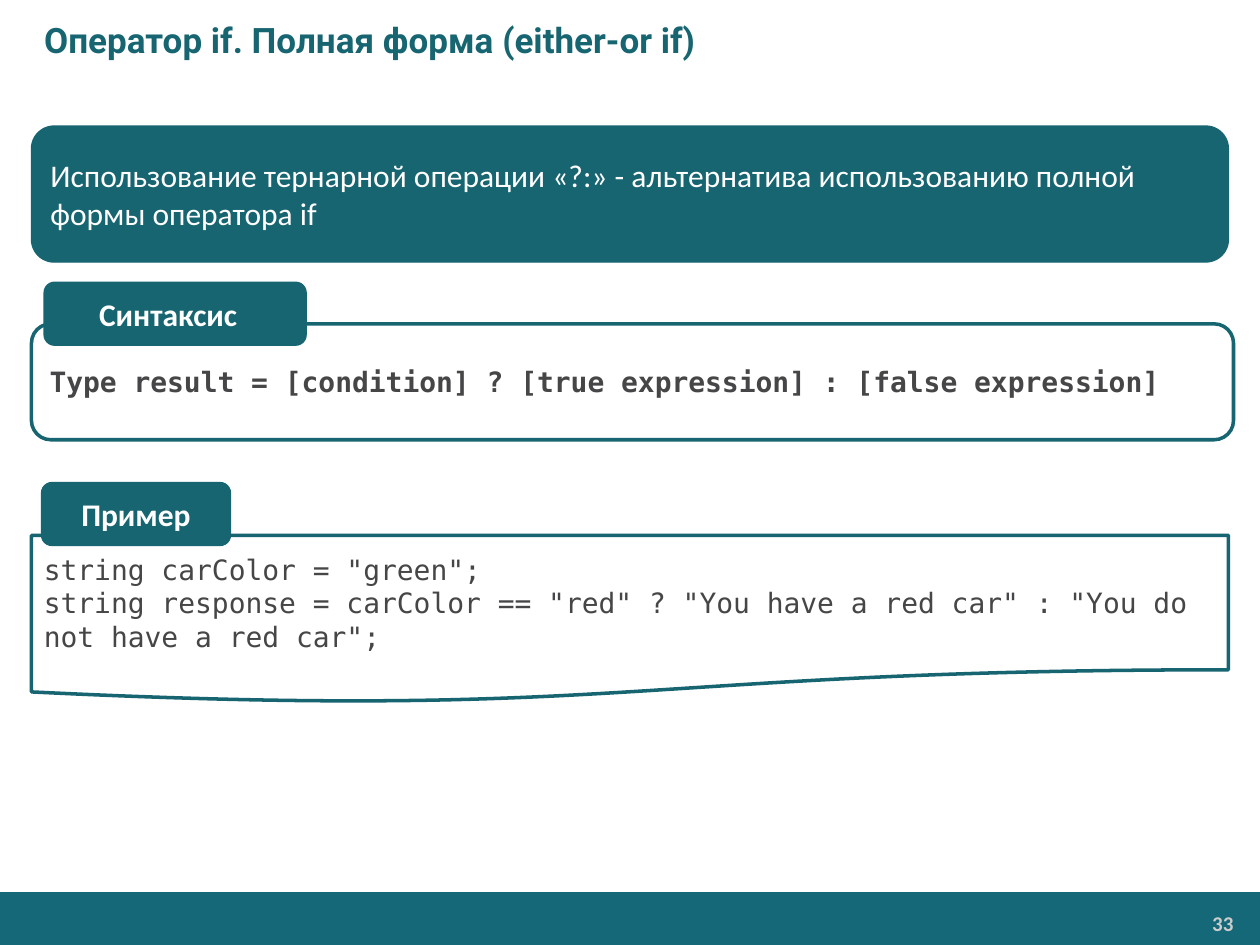
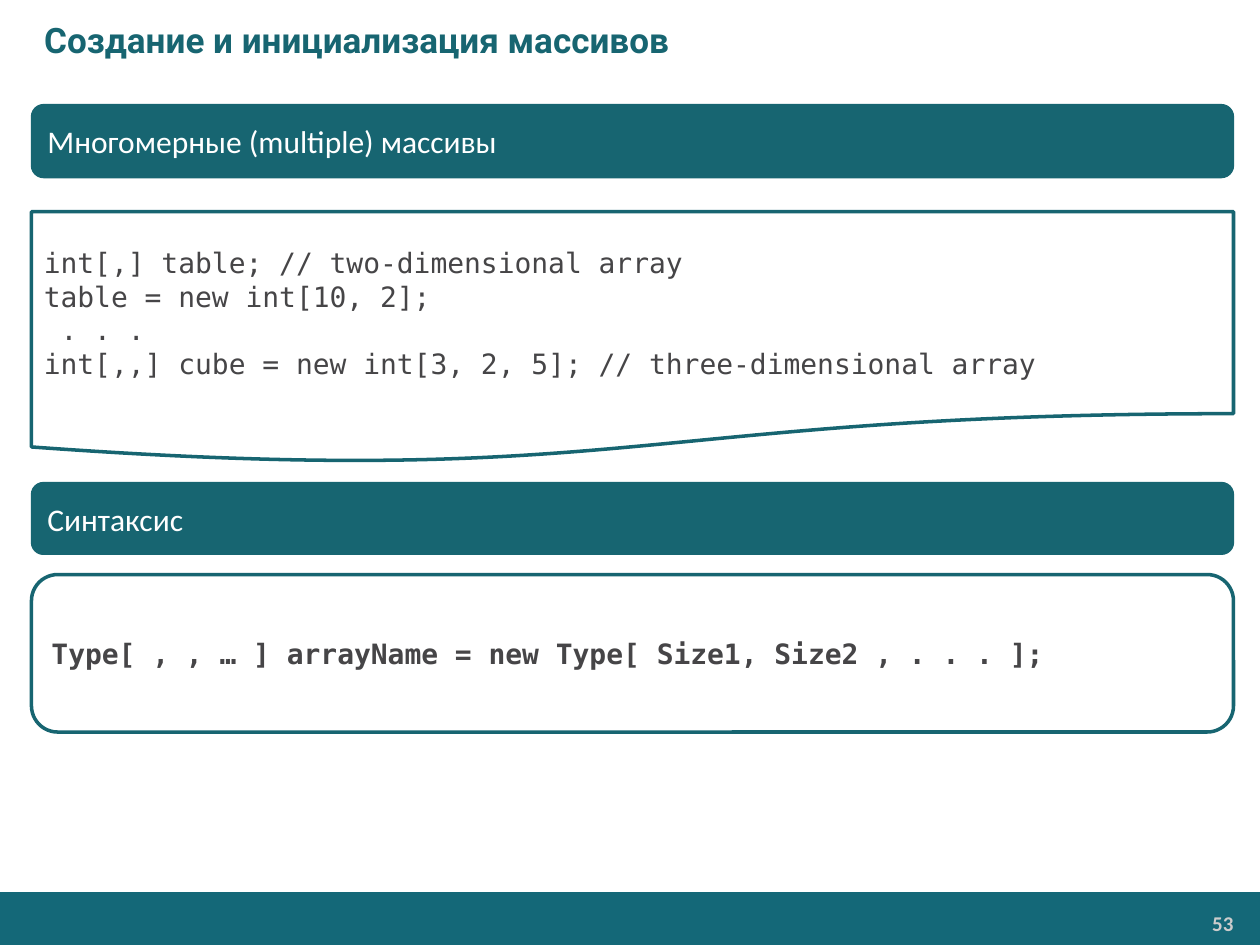
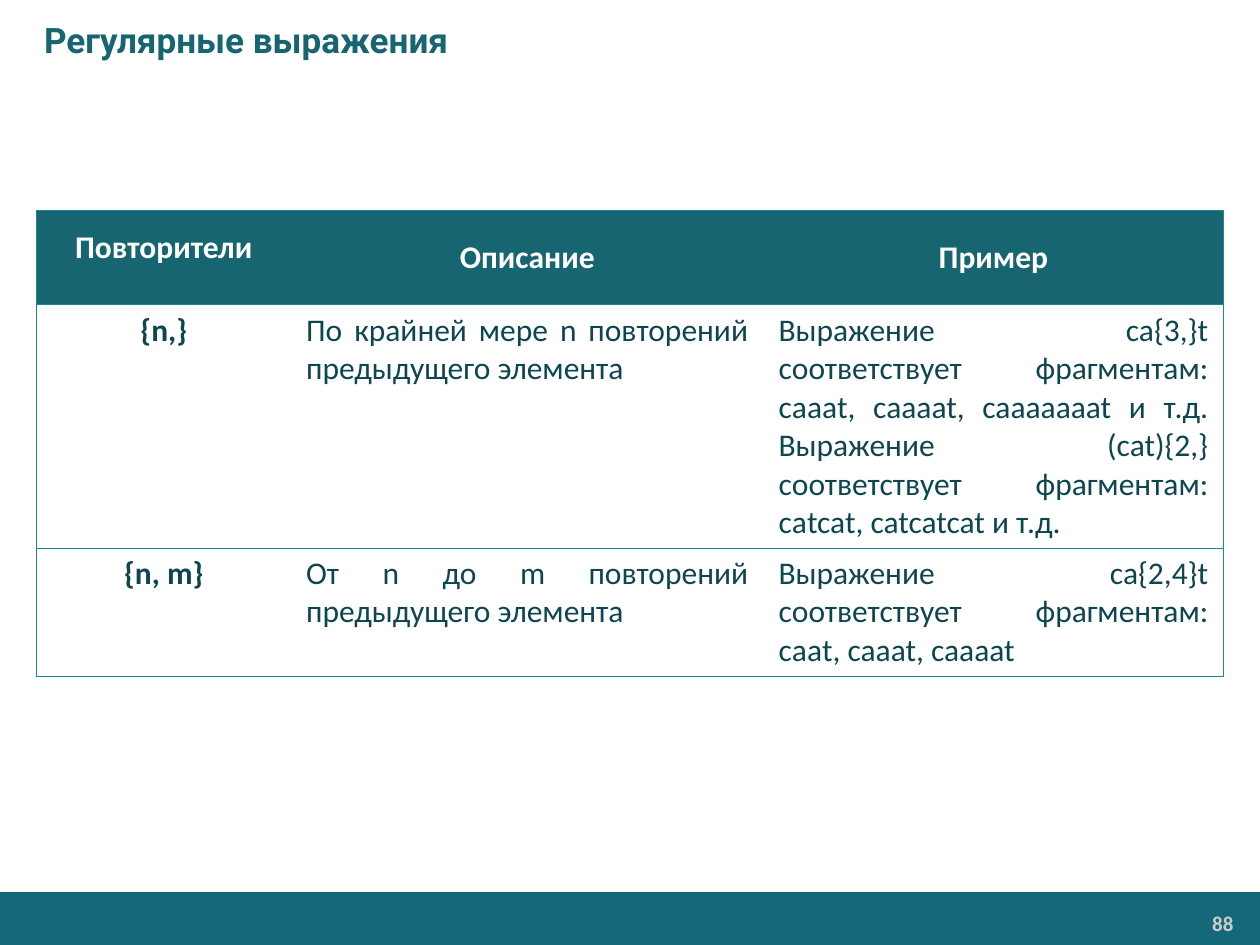
from dataclasses import dataclass

from lxml.etree import SubElement
from pptx import Presentation
from pptx.dml.color import RGBColor
from pptx.enum.shapes import MSO_SHAPE as Shape
from pptx.enum.text import MSO_ANCHOR as Anchor, MSO_AUTO_SIZE as AutoSize, PP_ALIGN as Align
from pptx.oxml.ns import qn
from pptx.util import Inches, Pt

TEAL = RGBColor(0x17, 0x65, 0x71)
BAND = RGBColor(0x14, 0x68, 0x78)
BORDER = RGBColor(0x17, 0x8A, 0xA0)
DARK = RGBColor(0x0D, 0x46, 0x50)
GRAY = RGBColor(0x46, 0x45, 0x47)
LIGHT = RGBColor(0xCC, 0xCC, 0xCC)
WHITE = RGBColor(0xFF, 0xFF, 0xFF)

LEFT = 0.25
FULL = 9.54
COLUMNS = (2.02, 3.75, 3.65)
ROWS = (0.75, 1.93, 1.02)


@dataclass(frozen=True)
class TextStyle:
    font: str
    size: int
    color: RGBColor
    bold: bool = False
    align: Align = Align.LEFT


@dataclass(frozen=True)
class BoxStyle:
    shape: Shape
    fill: RGBColor
    line_width: float
    text: TextStyle


@dataclass(frozen=True)
class Box:
    style: BoxStyle
    left: float
    top: float
    width: float
    height: float
    lines: tuple[str, ...]
    margin_right: float = 0.1


TITLE = TextStyle("Roboto", 20, TEAL, True)
NUMBER = TextStyle("Calibri", 12, LIGHT, True, Align.RIGHT)
HEADER = TextStyle("Calibri", 18, WHITE, True, Align.CENTER)
KEY = TextStyle("Calibri", 18, DARK, True, Align.CENTER)
BODY = TextStyle("Calibri", 18, DARK, False, Align.JUSTIFY)

BANNER = BoxStyle(Shape.ROUNDED_RECTANGLE, TEAL, 0.75, TextStyle("Calibri", 18, WHITE))
TAB = BoxStyle(Shape.ROUNDED_RECTANGLE, TEAL, 0.75, HEADER)
SYNTAX = BoxStyle(Shape.ROUNDED_RECTANGLE, WHITE, 2,
                  TextStyle("DejaVu Sans Mono", 16, GRAY, True))
CODE = BoxStyle(Shape.FLOWCHART_DOCUMENT, WHITE, 2,
                TextStyle("DejaVu Sans Mono", 16, GRAY))

TERNARY_BOXES = (
    Box(BANNER, LEFT, 1, 9.5, 1.08,
        ("Использование тернарной операции «?:» - альтернатива использованию "
         "полной формы оператора if",)),
    Box(CODE, LEFT, 4.25, 9.5, 1.33,
        ('string carColor = "green";',
         'string response = carColor == "red" ? "You have a red car" : '
         '"You do not have a red car";')),
    Box(TAB, 0.33, 3.83, 1.5, 0.5, ("Пример",)),
    Box(SYNTAX, LEFT, 2.57, FULL, 0.92,
        ("Type result = [condition] ? [true expression] : [false expression]",)),
    Box(TAB, 0.35, 2.24, 2.08, 0.5, ("Cинтаксис",), margin_right=0.21),
)

ARRAY_BOXES = (
    Box(CODE, LEFT, 1.68, FULL, 2,
        ("int[,] table; // two-dimensional array",
         "table = new int[10, 2];",
         " . . .",
         "int[,,] cube = new int[3, 2, 5]; // three-dimensional array")),
    Box(BANNER, LEFT, 0.83, FULL, 0.58, ("Многомерные (multiple) массивы",)),
    Box(SYNTAX, LEFT, 4.56, FULL, 1.25,
        ("Type[ , , … ] arrayName = new Type[ Size1, Size2 , . . . ];",)),
    Box(BANNER, LEFT, 3.83, FULL, 0.57, ("Синтаксис",)),
)

QUANTIFIERS = (
    ("Повторители", "Описание", "Пример"),
    ("{n,}", "По крайней мере n повторений предыдущего элемента",
     "Выражение ca{3,}t соответствует фрагментам: cаааt, caaaat, caaaaaaat и т.д. "
     "Выражение (cat){2,} соответствует фрагментам: cаtcat, catcatcat и т.д."),
    ("{n, m}", "От n до m повторений предыдущего элемента",
     "Выражение ca{2,4}t соответствует фрагментам: cааt, caaat, caaaat"),
)


def write(tf, lines: tuple[str, ...], style: TextStyle) -> None:
    tf.word_wrap = True
    for i, line in enumerate(lines):
        p = tf.paragraphs[0] if i == 0 else tf.add_paragraph()
        p.alignment = style.align
        r = p.add_run()
        r.text = line
        r.font.name = style.font
        r.font.size = Pt(style.size)
        r.font.bold = style.bold
        r.font.color.rgb = style.color


def set_margins(target, horizontal: float, vertical: float) -> None:
    target.margin_left = target.margin_right = Inches(horizontal)
    target.margin_top = target.margin_bottom = Inches(vertical)


def add_box(s, box: Box) -> None:
    sp = s.shapes.add_shape(box.style.shape, Inches(box.left), Inches(box.top),
                            Inches(box.width), Inches(box.height))
    sp.shadow.inherit = False
    sp.fill.solid()
    sp.fill.fore_color.rgb = box.style.fill
    sp.line.color.rgb = TEAL
    sp.line.width = Pt(box.style.line_width)
    tf = sp.text_frame
    tf.vertical_anchor = Anchor.MIDDLE
    tf.margin_right = Inches(box.margin_right)
    write(tf, box.lines, box.style.text)


def add_page(prs, title: str, number: int):
    """Add a slide with the shared title, footer band and page number."""
    s = prs.slides.add_slide(prs.slide_layouts[5])
    band = s.shapes.add_shape(Shape.RECTANGLE, 0, Inches(7.08), Inches(10), Inches(0.42))
    band.shadow.inherit = False
    band.fill.solid()
    band.fill.fore_color.rgb = BAND
    band.line.fill.background()

    tf = s.shapes.add_textbox(Inches(8.23), Inches(7.19), Inches(1.63), Inches(0.28)).text_frame
    set_margins(tf, 0.07, 0.04)
    write(tf, (str(number),), NUMBER)

    sp = s.shapes.title
    sp.left, sp.top, sp.width, sp.height = 0, 0, Inches(10), Inches(0.63)
    tf = sp.text_frame
    tf.auto_size = AutoSize.NONE
    tf.vertical_anchor = Anchor.MIDDLE
    write(tf, (title,), TITLE)
    pPr = tf.paragraphs[0]._p.get_or_add_pPr()
    pPr.set("marL", str(Inches(0.25)))
    pPr.set("indent", "0")
    return s


def set_borders(cell, sides: str) -> None:
    """Draw the named sides (letters of LRTB) and clear the others."""
    tcPr = cell._tc.get_or_add_tcPr()
    for side in "LRTB":
        ln = SubElement(tcPr, qn(f"a:ln{side}"), w=str(Pt(0.75)))
        if side in sides:
            fill = SubElement(ln, qn("a:solidFill"))
            SubElement(fill, qn("a:srgbClr"), val=str(BORDER))
        else:
            SubElement(ln, qn("a:noFill"))


def add_quantifier_table(s) -> None:
    table = s.shapes.add_table(len(ROWS), len(COLUMNS), Inches(0.29), Inches(1.67),
                               Inches(sum(COLUMNS)), Inches(sum(ROWS))).table
    table.horz_banding = False
    for column, width in zip(table.columns, COLUMNS):
        column.width = Inches(width)
    for row, height in zip(table.rows, ROWS):
        row.height = Inches(height)
    for i, texts in enumerate(QUANTIFIERS):
        for j, text in enumerate(texts):
            cell = table.cell(i, j)
            set_margins(cell, 0.12, 0.05)
            set_borders(cell, "TB" + {0: "L", len(COLUMNS) - 1: "R"}.get(j, ""))
            if i == 0:
                cell.fill.solid()
                cell.fill.fore_color.rgb = TEAL
                cell.vertical_anchor = Anchor.MIDDLE
                style = HEADER
            else:
                cell.fill.background()
                cell.vertical_anchor = Anchor.TOP
                style = KEY if j == 0 else BODY
            write(cell.text_frame, (text,), style)

    corner = table.cell(0, 0)
    set_margins(corner, 0.09, 0)
    p = corner.text_frame.paragraphs[0]
    p.line_spacing = Pt(10)
    p.space_after = Pt(2)


def main() -> None:
    prs = Presentation()
    prs.slide_width, prs.slide_height = Inches(10), Inches(7.5)

    for title, number, boxes in (
        ("Оператор if. Полная форма (either-or if)", 33, TERNARY_BOXES),
        ("Создание и инициализация массивов", 53, ARRAY_BOXES),
    ):
        s = add_page(prs, title, number)
        for box in boxes:
            add_box(s, box)

    add_quantifier_table(add_page(prs, "Регулярные выражения", 88))
    prs.save("out.pptx")


if __name__ == "__main__":
    main()
